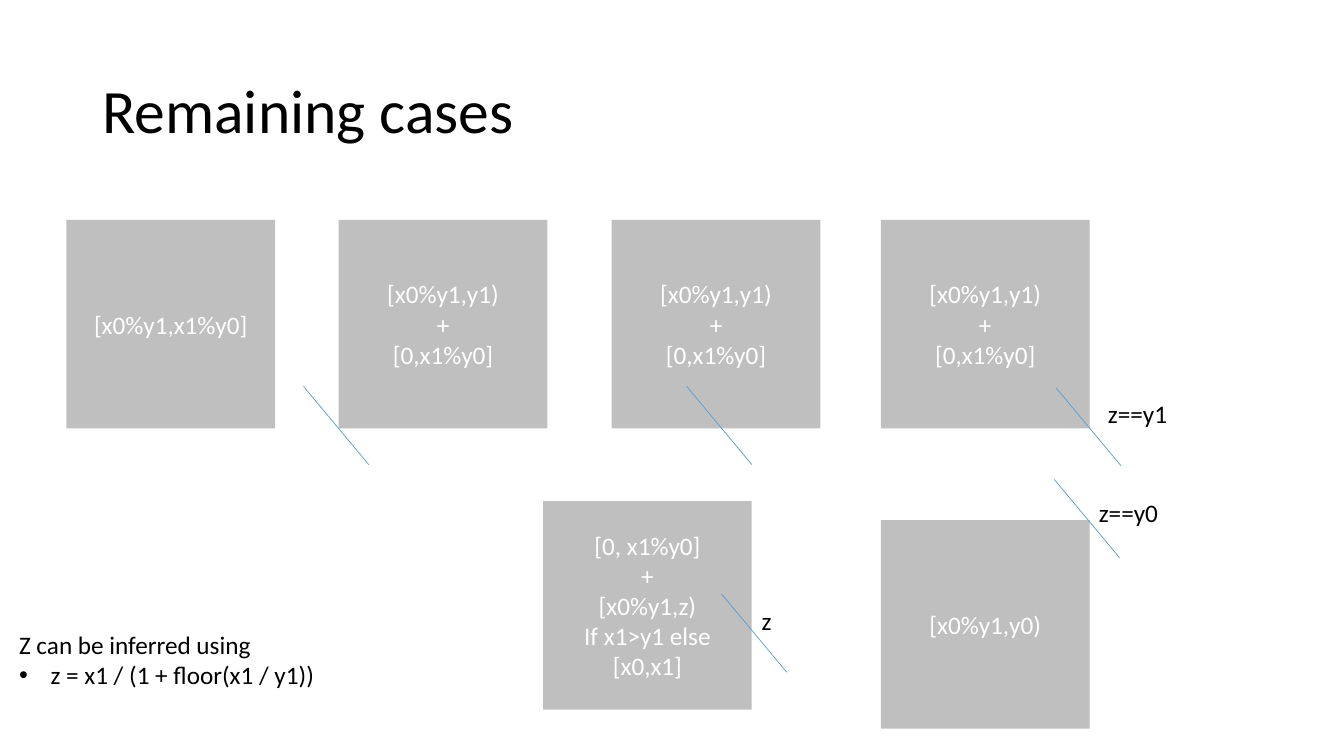
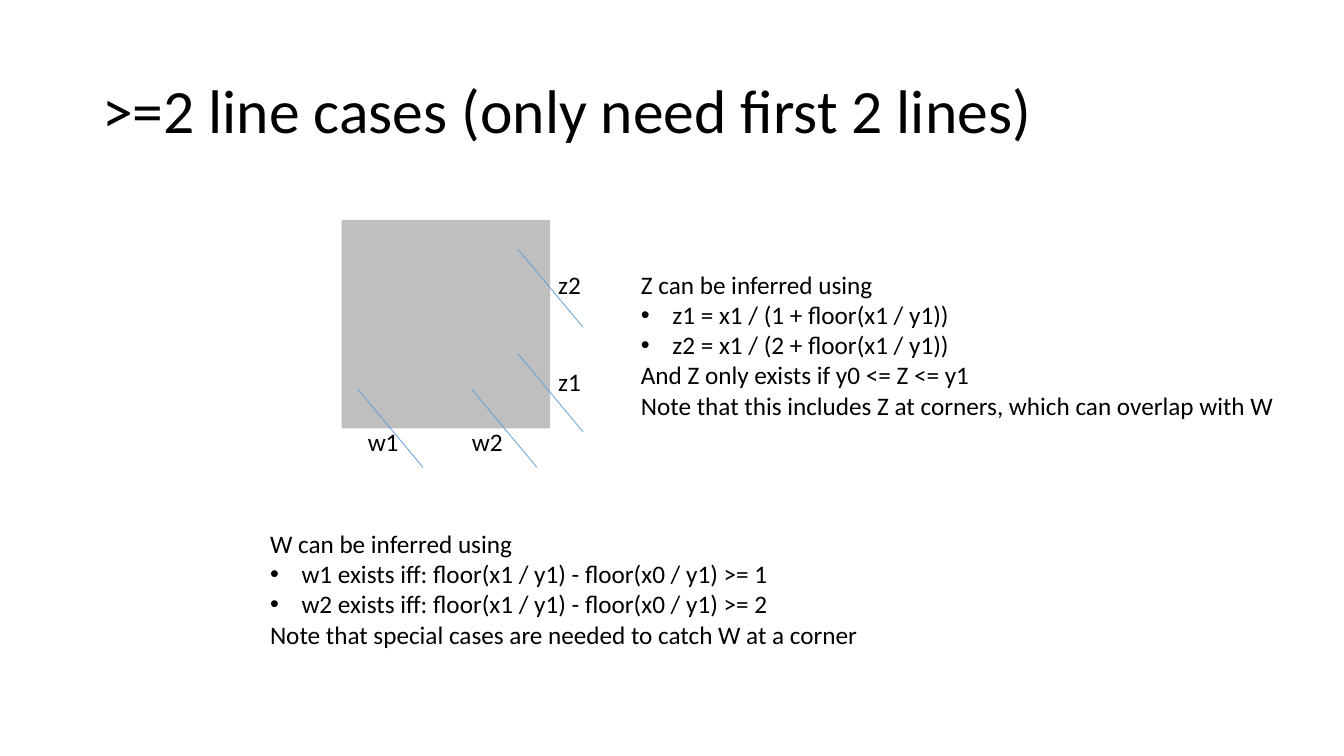
from lxml import etree
from pptx import Presentation
from pptx.dml.color import RGBColor
from pptx.enum.shapes import MSO_CONNECTOR, MSO_SHAPE
from pptx.enum.text import MSO_ANCHOR, PP_ALIGN
from pptx.oxml.ns import qn
from pptx.util import Pt

RECTANGLE = MSO_SHAPE.RECTANGLE
STRAIGHT = MSO_CONNECTOR.STRAIGHT
TOP, MIDDLE = MSO_ANCHOR.TOP, MSO_ANCHOR.MIDDLE
LEFT, CENTER = PP_ALIGN.LEFT, PP_ALIGN.CENTER

COLORS = {"text": "000000", "light": "FFFFFF", "square": "BFBFBF", "line": "5B9BD5"}
FONT = "Calibri"
TITLE_BOX = (66, 28.8, 828, 104.4)
SIDE = 149            # side of every square
TOP_ROW = 157         # top of the upper squares
CUT = (46.6, 55.9)    # run and drop of every cutting line
LABEL_HEIGHT = 29
BULLET = "• "
BULLET_INDENT = 22.5


def color(name):
    return RGBColor.from_string(COLORS[name])


def add_bullet(paragraph):
    properties = paragraph._p.get_or_add_pPr()
    properties.set("marL", str(Pt(BULLET_INDENT)))
    properties.set("indent", str(-Pt(BULLET_INDENT)))
    etree.SubElement(properties, qn("a:buFont")).set("typeface", "Arial")
    etree.SubElement(properties, qn("a:buChar")).set("char", BULLET.strip())


def write(shape, lines, size=18, ink="text", align=LEFT, anchor=TOP, wrap=True, spacing=None):
    """Fill a shape with one paragraph a line; a leading bullet makes a list item."""
    frame = shape.text_frame
    frame.word_wrap = wrap
    frame.vertical_anchor = anchor
    for index, line in enumerate(lines):
        paragraph = frame.add_paragraph() if index else frame.paragraphs[0]
        paragraph.alignment = align
        if spacing:
            paragraph.line_spacing = spacing
        if line.startswith(BULLET):
            add_bullet(paragraph)
        run = paragraph.add_run()
        run.text = line.removeprefix(BULLET)
        run.font.name = FONT
        run.font.size = Pt(size)
        run.font.color.rgb = color(ink)


def add_text(slide, box, lines, **text_format):
    shape = slide.shapes.add_textbox(*map(Pt, box))
    write(shape, lines, **text_format)


def add_titled_slide(presentation, title):
    slide = presentation.slides.add_slide(presentation.slide_layouts[6])
    add_text(slide, TITLE_BOX, [title], size=44, anchor=MIDDLE, spacing=0.9)
    return slide


def add_cut(slide, left, top):
    run, drop = CUT
    line = slide.shapes.add_connector(STRAIGHT, *map(Pt, (left, top, left + run, top + drop)))
    line.line.color.rgb = color("line")
    line.line.width = Pt(0.5)
    etree.SubElement(line._element.spPr, qn("a:effectLst"))


def add_case(slide, left, top, lines=(), cuts=(), labels=()):
    """A square with its cutting lines and labels, placed from its top left corner."""
    square = slide.shapes.add_shape(RECTANGLE, *map(Pt, (left, top, SIDE, SIDE)))
    square.shadow.inherit = False
    square.fill.solid()
    square.fill.fore_color.rgb = color("square")
    square.line.fill.background()
    write(square, lines, ink="light", align=CENTER, anchor=MIDDLE)
    for across, down in cuts:
        add_cut(slide, left + across, top + down)
    for label, across, down, width in labels:
        add_text(slide, (left + across, top + down, width, LABEL_HEIGHT), [label], wrap=False)


def build_remaining_cases(presentation):
    slide = add_titled_slide(presentation, "Remaining cases")
    two_ranges = ["[x0%y1,y1)", "+", "[0,x1%y0]"]
    right_column = 629.3

    # Upper row
    add_case(slide, 47.5, TOP_ROW, ["[x0%y1,x1%y0]"])
    add_case(slide, 242, TOP_ROW, two_ranges, cuts=[(-25.2, 119)])
    add_case(slide, 437, TOP_ROW, two_ranges, cuts=[(53.5, 119)])
    add_case(slide, right_column, TOP_ROW, two_ranges,
             cuts=[(125, 120)], labels=[("z==y1", 155, 124, 57.6)])

    # Lower row
    add_case(slide, 388, 358,
             ["[0, x1%y0]", "+", "[x0%y1,z)", "If x1>y1 else", "[x0,x1]"],
             cuts=[(127.4, 66.3)], labels=[("z", 149, 71, 21.6)])
    add_case(slide, right_column, 371.5, ["[x0%y1,y0)"],
             cuts=[(123.8, -29)], labels=[("z==y0", 148.5, -19.5, 57.6)])

    # Formula
    add_text(slide, (6.5, 445.7, 228, 51),
             ["Z can be inferred using", "• z = x1 / (1 + floor(x1 / y1))"], wrap=False)


def build_line_cases(presentation):
    slide = add_titled_slide(presentation, ">=2 line cases (only need first 2 lines)")

    # Square cut on its right and bottom edges
    add_case(slide, 244, TOP_ROW,
             cuts=[(126, 21), (126, 95.7), (11.6, 121), (93, 121)],
             labels=[("z2", 147.7, 31.6, 31), ("z1", 147.7, 100.8, 31),
                     ("w1", 11.6, 144, 36.7), ("w2", 86, 144, 36.7)])

    # Rules for Z and W
    add_text(slide, (450.7, 188.6, 471.6, 116.6), [
        "Z can be inferred using",
        "• z1 = x1 / (1 + floor(x1 / y1))",
        "• z2 = x1 / (2 + floor(x1 / y1))",
        "And Z only exists if y0 <= Z <= y1",
        "Note that this includes Z at corners, which can overlap with W",
    ], wrap=False)
    add_text(slide, (185.8, 373.7, 434.9, 94.3), [
        "W can be inferred using",
        "• w1 exists iff: floor(x1 / y1) - floor(x0 / y1) >= 1",
        "• w2 exists iff: floor(x1 / y1) - floor(x0 / y1) >= 2",
        "Note that special cases are needed to catch W at a corner",
    ], wrap=False)


presentation = Presentation()
presentation.slide_width, presentation.slide_height = Pt(960), Pt(540)
build_remaining_cases(presentation)
build_line_cases(presentation)
presentation.save("out.pptx")
